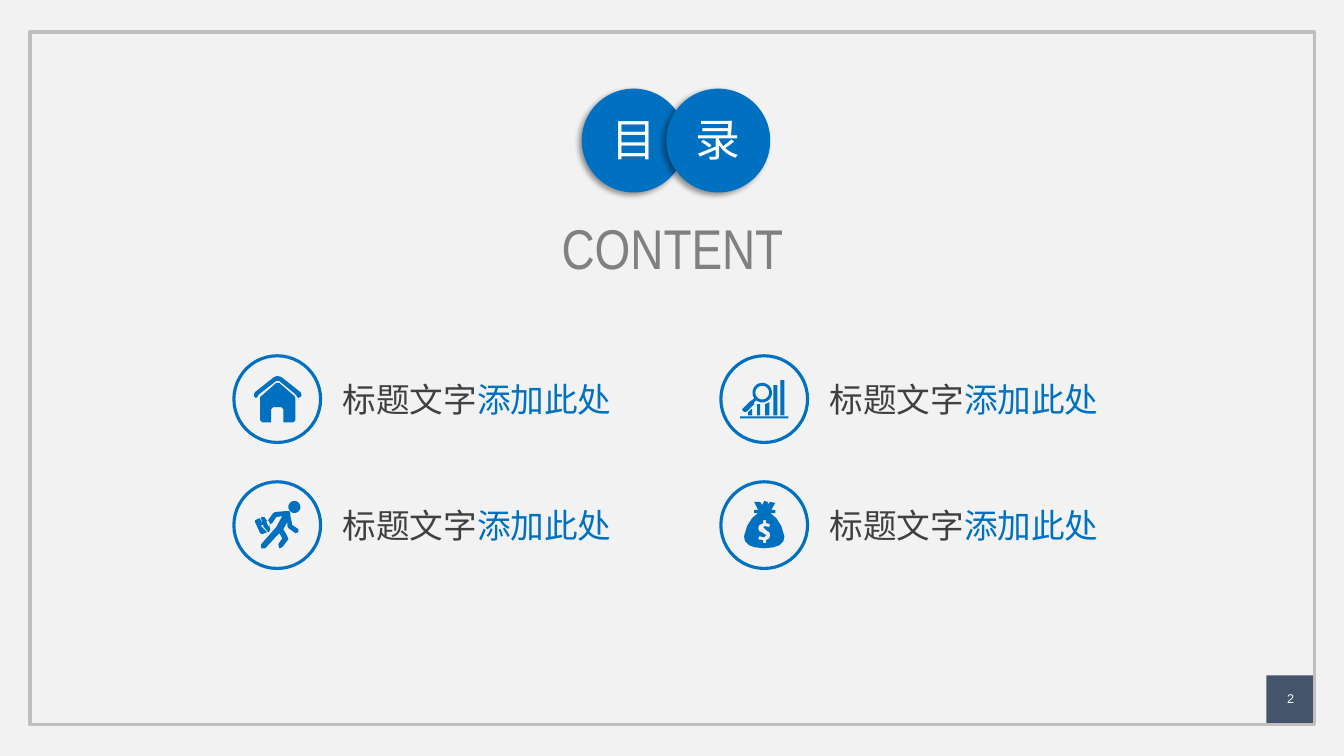
from math import cos, radians, sin

from lxml.etree import SubElement
from pptx import Presentation
from pptx.dml.color import RGBColor
from pptx.enum.shapes import MSO_SHAPE as Preset
from pptx.enum.text import MSO_ANCHOR as Anchor, PP_ALIGN as Align
from pptx.oxml.ns import qn
from pptx.util import Inches, Pt

COLORS = {
    "back": "F2F2F2", "frame": "BFBFBF", "badge": "44546A", "blue": "0070C0",
    "dark": "404040", "grey": "808080", "white": "FFFFFF", "shadow": "000000",
}
HAN = "Noto Sans CJK SC"

# Grid of the four entries
GRID_LEFT, GRID_TOP = 2.32, 3.53
COLUMN_STEP, ROW_STEP = 4.83, 1.25
RING = 0.86
DISC, DISC_STEP = 1.03, 0.84


def arc(x, y, radius, start=0, end=360):
    """Points along an arc, angles clockwise from the right."""
    steps = 24
    angles = [radians(start + (end - start) * i / steps) for i in range(steps + 1)]
    return [(x + radius * cos(a), y + radius * sin(a)) for a in angles]


def bar(left, top, right, bottom):
    return [(left, top), (right, top), (right, bottom), (left, bottom)]


# Icon outlines, in hundredths of an inch from the corner of the ring
HOUSE = [
    [(42, 27), (45, 27), (60, 40), (61, 42), (61, 64), (59, 66), (49, 66), (49, 53),
     (47, 51), (39, 51), (37, 53), (37, 66), (28, 66), (26, 64), (26, 41)],
    [(43, 20), (47, 21), (66, 36), (67, 38), (67, 40), (64, 42), (62, 40), (62, 39),
     (45, 25), (42, 25), (24, 39), (24, 40), (22, 42), (20, 40), (20, 38), (21, 36),
     (40, 21)],
]
ANALYSIS = [
    bar(19, 60, 67, 62),
    [(30, 53), (31, 53), (31, 59), (27, 59), (27, 56)],
    [(36, 48), (39, 48), (39, 59), (36, 59)],
    [(48, 46), (48, 59), (44, 59), (44, 48)],
    bar(52, 29, 56, 59),
    bar(59, 24, 63, 59),
    arc(41, 36.5, 6.8),
    arc(41, 36.5, 9.7, -215, 127) + [
        (33, 46), (33, 48), (26, 55), (24, 56), (22, 55), (21, 53), (22, 52),
        (29, 45), (31, 44)],
]
RUNNER = [
    [(26, 36), (28, 43), (27, 43), (27, 44), (28, 45), (33, 50), (28, 52), (26, 51),
     (21, 40), (21, 38)],
    [(30, 35), (31, 36), (32, 38), (34, 39), (32, 39), (34, 44), (35, 44), (36, 42),
     (36, 43), (35, 44), (36, 47), (35, 50), (34, 50), (29, 44), (30, 43), (28, 43),
     (27, 35)],
    [(52, 29), (55, 29), (56, 32), (56, 34), (58, 43), (64, 47), (64, 50), (61, 51),
     (54, 46), (53, 44), (53, 40), (49, 47), (53, 54), (54, 57), (48, 65), (45, 66),
     (44, 62), (48, 56), (45, 51), (31, 66), (27, 66), (27, 62), (41, 46), (42, 45),
     (48, 34), (42, 35), (38, 41), (36, 42), (34, 38), (39, 31), (41, 30)],
    arc(60, 25, 6),
]
MONEY_BAG = [
    [(42, 38), (42, 41), (38, 43), (37, 46), (38, 49), (42, 51), (45, 53), (43, 55),
     (38, 54), (37, 57), (42, 58), (42, 61), (45, 61), (45, 58), (48, 56), (49, 53),
     (48, 50), (45, 48), (42, 45), (44, 44), (48, 45), (49, 42), (45, 41), (45, 38)],
    [(43, 19), (47, 20), (46, 23), (49, 20), (54, 21), (50, 28), (54, 28), (54, 31),
     (49, 31), (55, 36), (60, 44), (63, 54), (62, 59), (58, 63), (52, 65), (43, 66),
     (34, 65), (28, 63), (24, 59), (23, 54), (26, 44), (31, 36), (37, 31), (33, 31),
     (33, 28), (37, 28), (33, 20), (39, 20), (41, 23)],
]
ICONS = [[HOUSE, ANALYSIS], [RUNNER, MONEY_BAG]]


def rgb(name):
    return RGBColor.from_string(COLORS[name])


def paint(shape, fill=None, line=None, weight=1):
    shape.shadow.inherit = False
    if fill:
        shape.fill.solid()
        shape.fill.fore_color.rgb = rgb(fill)
    else:
        shape.fill.background()
    if line:
        shape.line.color.rgb = rgb(line)
        shape.line.width = Pt(weight)
    else:
        shape.line.fill.background()


def add_preset(page, preset, left, top, width, height, **look):
    shape = page.shapes.add_shape(preset, *map(Inches, (left, top, width, height)))
    paint(shape, **look)
    return shape


def add_text(page, spans, left, top, width, height, size, font=HAN,
             align=Align.CENTER, anchor=Anchor.TOP, wrap=False):
    """Add one paragraph made of (text, colour) spans."""
    box = page.shapes.add_textbox(*map(Inches, (left, top, width, height)))
    frame = box.text_frame
    frame.word_wrap = wrap
    frame.vertical_anchor = anchor
    para = frame.paragraphs[0]
    para.alignment = align
    for text, color in spans:
        span = para.add_run()
        span.text = text
        span.font.size = Pt(size)
        span.font.color.rgb = rgb(color)
        span.font.name = font
        SubElement(span.font._element, qn("a:ea"), typeface=font)


def add_shadow(shape):
    effects = shape._element.spPr.find(qn("a:effectLst"))
    shadow = SubElement(effects, qn("a:outerShdw"), blurRad=str(int(Pt(4))),
                        dist=str(int(Pt(3))), dir=str(135 * 60000), algn="tr",
                        rotWithShape="0")
    color = SubElement(shadow, qn("a:srgbClr"), val=COLORS["shadow"])
    SubElement(color, qn("a:alpha"), val="40000")


def add_disc(page, letter, left, top):
    disc = add_preset(page, Preset.OVAL, left, top, DISC, DISC, fill="blue")
    add_shadow(disc)
    add_text(page, [(letter, "white")], left + 0.19, top + 0.18, 0.65, 0.64, 32)


def add_icon(page, outlines, left, top):
    fine = [[(x * 10, y * 10) for x, y in outline] for outline in outlines]
    builder = page.shapes.build_freeform(*fine[0][0], scale=Inches(1) / 1000)
    for number, outline in enumerate(fine):
        if number:
            builder.move_to(*outline[0])
        builder.add_line_segments(outline[1:], close=True)
    paint(builder.convert_to_shape(Inches(left), Inches(top)), fill="blue")


def add_entry(page, icon, column, row):
    left = GRID_LEFT + column * COLUMN_STEP
    top = GRID_TOP + row * ROW_STEP
    add_preset(page, Preset.OVAL, left, top, RING, RING, line="blue", weight=2.25)
    add_icon(page, icon, left, top)
    add_text(page, [("标题文字", "dark"), ("添加此处", "blue")],
             left + 0.98, top + 0.18, 2.89, 0.5, 24, align=Align.LEFT)


def main():
    deck = Presentation()
    deck.slide_width, deck.slide_height = Inches(13.33), Inches(7.5)
    page = deck.slides.add_slide(deck.slide_layouts[6])
    page.background.fill.solid()
    page.background.fill.fore_color.rgb = rgb("back")

    # Frame and page number badge
    add_preset(page, Preset.RECTANGLE, 12.56, 6.7, 0.48, 0.48, fill="badge")
    add_preset(page, Preset.RECTANGLE, 0.3, 0.32, 12.74, 6.87, line="frame", weight=2.5)

    # Heading
    for number, letter in enumerate("目录"):
        add_disc(page, letter, 5.77 + number * DISC_STEP, 0.88)
    add_text(page, [("CONTENT", "grey")], 4.23, 2.07, 4.88, 0.77, 40,
             font="Arial Narrow", wrap=True)

    # Entries
    for row, icons in enumerate(ICONS):
        for column, icon in enumerate(icons):
            add_entry(page, icon, column, row)

    add_text(page, [("2", "white")], 12.57, 6.73, 0.46, 0.4, 9, font="Arial",
             anchor=Anchor.MIDDLE, wrap=True)
    deck.save("out.pptx")


if __name__ == "__main__":
    main()
